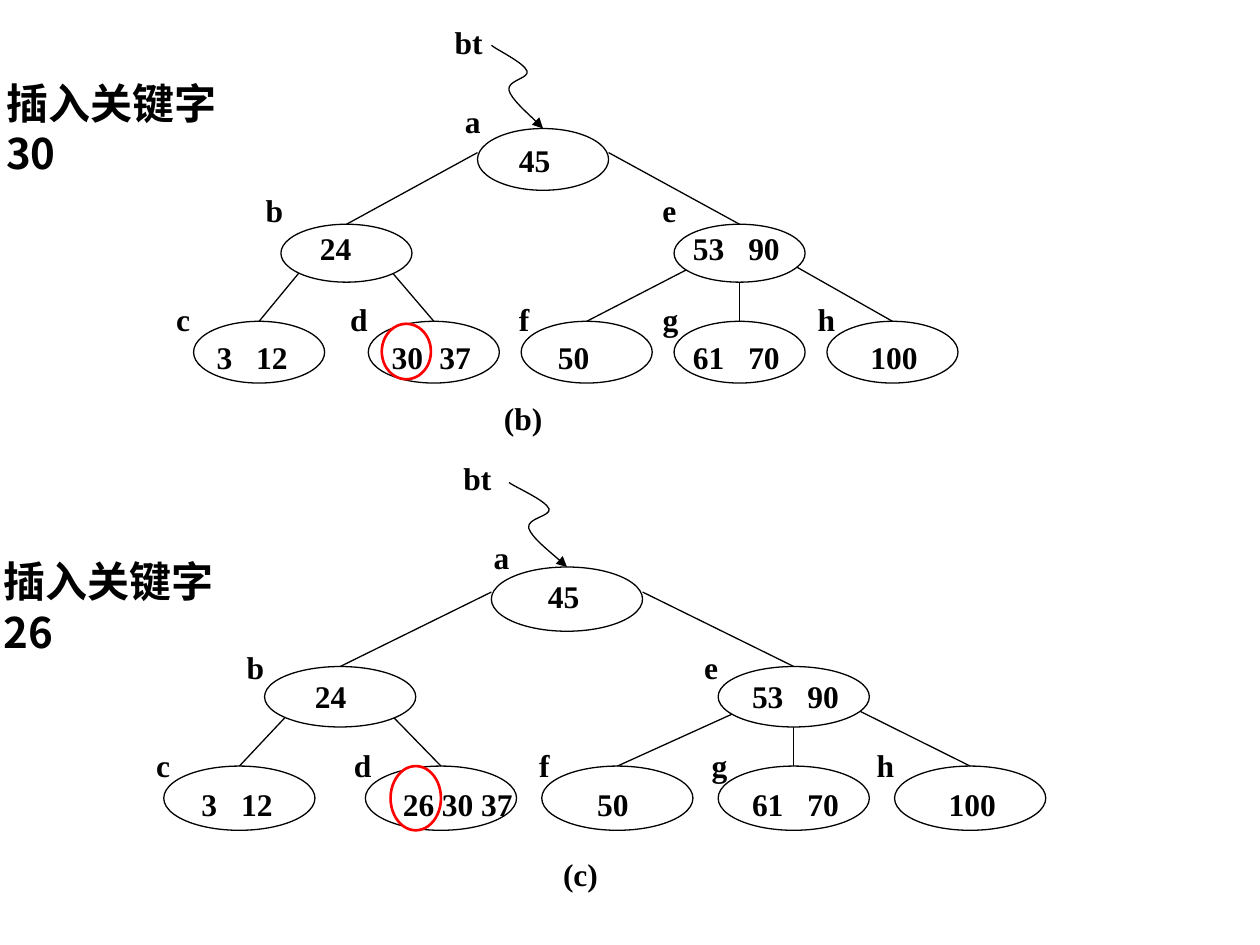
from pptx import Presentation
from pptx.dml.color import RGBColor
from pptx.enum.shapes import MSO_CONNECTOR, MSO_SHAPE
from pptx.enum.text import MSO_ANCHOR, MSO_AUTO_SIZE
from pptx.oxml.ns import qn
from pptx.util import Inches, Pt
from lxml.etree import SubElement

LATIN, CHINESE = "Times New Roman", "Noto Sans CJK SC"
BLACK, WHITE, RED = "000000", "FFFFFF", "FF0000"
DIGIT = 0.125  # width of one bold 18 pt digit

# Node: row, centre in sixths of a node width from the root, label width
NODES = {
    "a": (0, 0, 0.39), "c": (2, -13, 0.37), "d": (2, -5, 0.4),
    "f": (2, 2, 0.34), "h": (2, 16, 0.4), "g": (2, 9, 0.39),
    "b": (1, -9, 0.4), "e": (1, 9, 0.37),
}
# Edge: parent, child, start from the parent's top centre in parent widths and heights
EDGES = [
    ("a", "b", -0.5, 0.39), ("a", "e", 0.5, 0.39),
    ("b", "c", -0.33, 0.75), ("b", "d", 0.31, 0.73),
    ("e", "f", -0.34, 0.71), ("e", "g", 0, 0.84), ("e", "h", 0.39, 0.68),
]
# Bezier points of the pointer, as shares of its box
POINTER = [(0, 0), (0.12, 0.06), (0.63, 0.21), (0.69, 0.31), (0.74, 0.4),
           (0.3, 0.42), (0.34, 0.54), (0.39, 0.65), (0.85, 0.9), (1, 1)]

# Nodes in a tree: label left, keys left, keys, gap between keys
TREES = [
    dict(title="插入关键字30", title_at=(-0.05, 0.56), caption="(b)", caption_at=(3.9, 3.12, 0.51),
         center=4.31, width=1.04, heights=(0.49, 0.46, 0.49), tops=(1.02, 1.78, 2.55),
         label_tops=(0.76, 1.47, 2.33), key_tops=(1.07, 1.77, 2.63),
         pointer_at=(3.9, 0.36), name_at=(3.51, 0.13), ring=(3.03, 2.57, 0.39, 0.44),
         nodes={"a": (3.59, 4.02, ["45"], 0), "b": (2.01, 2.44, ["24"], 0),
                "c": (1.3, 1.62, ["3", "12"], 0.19), "d": (2.68, 3.01, ["30", "37"], 0.13),
                "e": (5.16, 5.4, ["53", "90"], 0.19), "f": (4.02, 4.33, ["50"], 0),
                "g": (5.16, 5.4, ["61", "70"], 0.19), "h": (6.39, 6.81, ["100"], 0)}),
    dict(title="插入关键字26", title_at=(-0.07, 4.36), caption="(c)", caption_at=(4.37, 6.74, 0.48),
         center=4.5, width=1.2, heights=(0.51, 0.48, 0.51), tops=(4.5, 5.29, 6.08),
         label_tops=(4.22, 5.09, 5.87), key_tops=(4.53, 5.32, 6.18),
         pointer_at=(4.04, 3.83), name_at=(3.58, 3.59), ring=(3.1, 6.08, 0.4, 0.51),
         nodes={"a": (3.82, 4.25, ["45"], 0), "b": (1.86, 2.4, ["24"], 0),
                "c": (1.14, 1.5, ["3", "12"], 0.19), "d": (2.71, 3.1, ["26", "30", "37"], 0.06),
                "e": (5.49, 5.87, ["53", "90"], 0.19), "f": (4.18, 4.64, ["50"], 0),
                "g": (5.55, 5.87, ["61", "70"], 0.19), "h": (6.86, 7.43, ["100"], 0)}),
]


def color(value):
    return RGBColor.from_string(value)


def set_line(shape, value=BLACK, width=0.75):
    shape.line.color.rgb = color(value)
    shape.line.width = Pt(width)


def add_ellipse(left, top, width, height, line=BLACK, line_width=0.75):
    shape = slide.shapes.add_shape(MSO_SHAPE.OVAL, *map(Inches, (left, top, width, height)))
    shape.shadow.inherit = False
    shape.fill.solid()
    shape.fill.fore_color.rgb = color(WHITE)
    set_line(shape, line, line_width)


def add_edge(x1, y1, x2, y2):
    edge = slide.shapes.add_connector(MSO_CONNECTOR.STRAIGHT, *map(Inches, (x1, y1, x2, y2)))
    set_line(edge)
    SubElement(edge._element.spPr, qn("a:effectLst"))


def add_pointer(left, top, right, bottom):
    points = [(Inches(left + x * (right - left)), Inches(top + y * (bottom - top)))
              for x, y in POINTER]
    builder = slide.shapes.build_freeform(*points[0])
    builder.add_line_segments(points[1:], close=False)
    shape = builder.convert_to_shape()
    shape.shadow.inherit = False
    shape.fill.background()
    set_line(shape)
    # Turn each three segments into one Bezier curve
    outline = shape._element.xpath(".//a:path")[0]
    segments = outline.findall(qn("a:lnTo"))
    for start in range(0, len(segments), 3):
        curve = SubElement(outline, qn("a:cubicBezTo"))
        for segment in segments[start:start + 3]:
            curve.append(segment[0])
            outline.remove(segment)
    SubElement(shape.line._get_or_add_ln(), qn("a:tailEnd"), type="triangle")


def add_text(text, left, top, width, height=0.4, size=18, font=LATIN, anchor=MSO_ANCHOR.MIDDLE):
    box = slide.shapes.add_textbox(*map(Inches, (left, top, width, height)))
    frame = box.text_frame
    frame.word_wrap = False
    frame.auto_size = MSO_AUTO_SIZE.SHAPE_TO_FIT_TEXT
    frame.vertical_anchor = anchor
    paragraph = frame.paragraphs[0]
    run = paragraph.add_run()
    run.text = text
    run.font.size = Pt(size)
    run.font.bold = True
    run.font.name = font
    run.font.color.rgb = color(BLACK)
    SubElement(run._r.get_or_add_rPr(), qn("a:ea"), typeface=font)
    return frame


def add_keys(keys, gap, left, top):
    width = 0.2 + DIGIT * len("".join(keys)) + gap * (len(keys) - 1)
    frame = add_text("\t".join(keys), left, top, width)
    tabs = SubElement(frame.paragraphs[0]._p.get_or_add_pPr(), qn("a:tabLst"))
    position = 0
    for key in keys[:-1]:
        position += DIGIT * len(key) + gap
        SubElement(tabs, qn("a:tab"), pos=str(Inches(position)), algn="l")


def add_title(text, left, top):
    frame = add_text(text, left, top, 2.33, 0.5, 24, CHINESE, MSO_ANCHOR.TOP)
    frame.word_wrap = True
    frame.auto_size = MSO_AUTO_SIZE.NONE
    frame.margin_right = Inches(0.4)  # the number goes on the second line
    frame.paragraphs[0].line_spacing = Pt(29)


def add_tree(tree):
    width, tops, heights = tree["width"], tree["tops"], tree["heights"]
    centers = {name: tree["center"] + sixths * width / 6
               for name, (_, sixths, _) in NODES.items()}

    def add_nodes(rows):
        for name, (row, _, _) in NODES.items():
            if row in rows:
                add_ellipse(centers[name] - width / 2, tops[row], width, heights[row])

    # Root and leaves, pointer, edges, then the middle row over the edge ends
    add_nodes((0, 2))
    add_pointer(*tree["pointer_at"], tree["center"], tops[0])
    for parent, child, across, down in EDGES:
        row = NODES[parent][0]
        add_edge(centers[parent] + across * width, tops[row] + down * heights[row],
                 centers[child], tops[row + 1])
    add_nodes((1,))
    add_ellipse(*tree["ring"], RED, 1.5)

    # Names and keys
    add_text("bt", *tree["name_at"], 0.48)
    for name, (label_left, key_left, keys, gap) in tree["nodes"].items():
        row, _, label_width = NODES[name]
        add_text(name, label_left, tree["label_tops"][row], label_width)
        add_keys(keys, gap, key_left, tree["key_tops"][row])
    add_text(tree["caption"], *tree["caption_at"], anchor=MSO_ANCHOR.TOP)
    add_title(tree["title"], *tree["title_at"])


presentation = Presentation()
presentation.slide_width, presentation.slide_height = Inches(10), Inches(7.5)
slide = presentation.slides.add_slide(presentation.slide_layouts[6])
for tree in TREES:
    add_tree(tree)
presentation.save("out.pptx")
